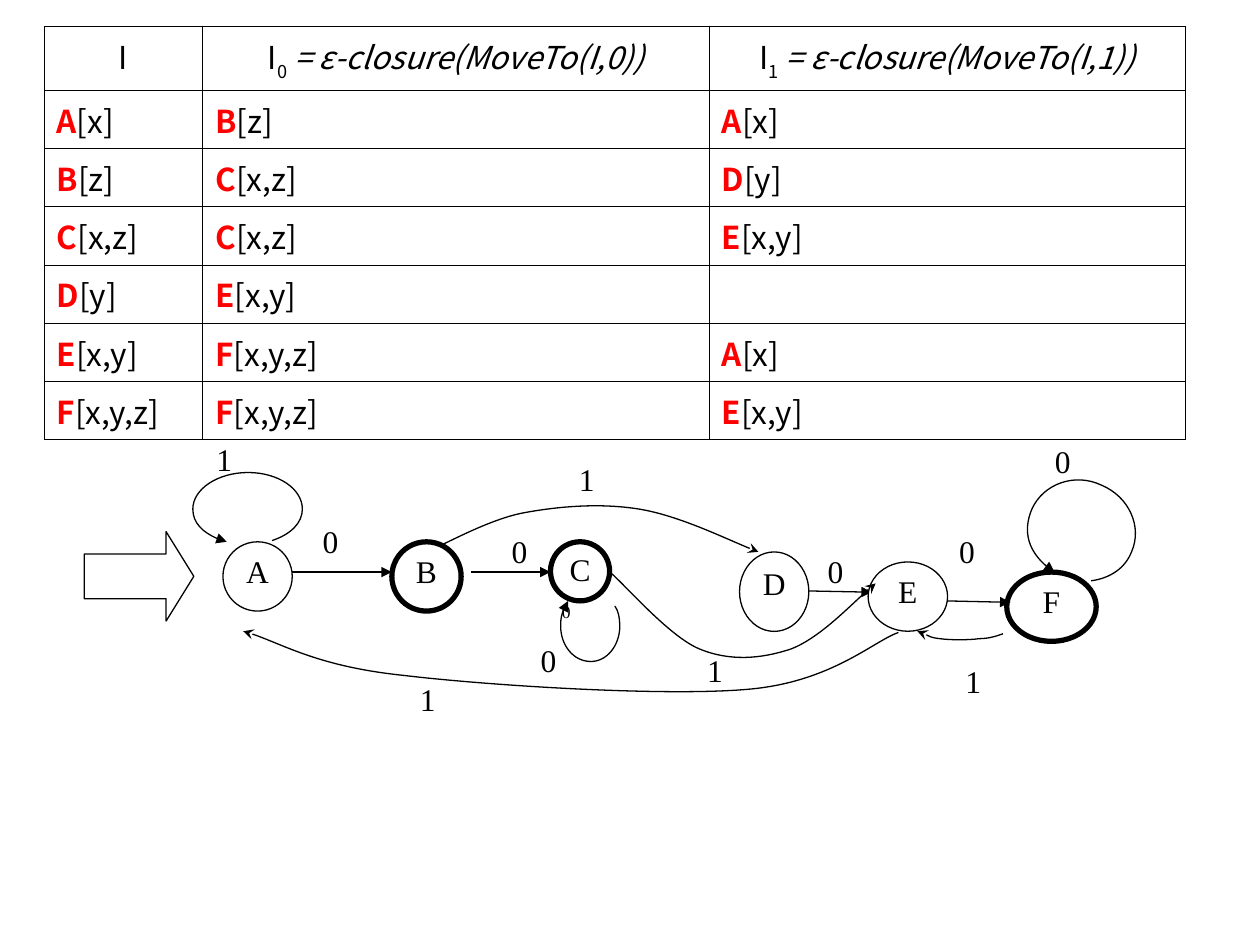
from typing import NamedTuple

from lxml.etree import SubElement
from pptx import Presentation
from pptx.dml.color import RGBColor
from pptx.enum.shapes import MSO_CONNECTOR as CONN, MSO_SHAPE as SHAPE
from pptx.enum.text import MSO_ANCHOR as ANCHOR, PP_ALIGN as ALIGN
from pptx.oxml import parse_xml
from pptx.oxml.ns import nsdecls, qn
from pptx.util import Pt

BLACK, WHITE, RED = "000000", "FFFFFF", "FF0000"
TABLE_FONT, GRAPH_FONT = "Noto Sans CJK SC", "Times New Roman"
THIN, THICK, BORDER = 0.75, 3, 0.45


class State(NamedTuple):
    name: str
    x: float
    y: float
    w: float
    h: float
    accepting: bool = False


class Line(NamedTuple):
    x1: float
    y1: float
    x2: float
    y2: float


class Curve(NamedTuple):
    """A start point, then three points for each Bézier segment."""
    points: list
    head: str = "stealth"


class Label(NamedTuple):
    text: str
    x: float
    y: float
    w: float = 18
    h: float = 15.8
    align: ALIGN = ALIGN.CENTER
    size: float = 18


# Transition table: cells hold a state letter and its set
SETS = {"A": "x", "B": "z", "C": "x,z", "D": "y", "E": "x,y", "F": "x,y,z"}
MOVES = ["ABA", "BCD", "CCE", "DE ", "EFA", "FFE"]
COL_WIDTHS = [90.7, 289.4, 272.2]
HEAD_HEIGHT, ROW_HEIGHT = 33.1, 28.8

# Automaton
STATES = [
    State("A", 127.4, 309.6, 39.6, 39.6),
    State("D", 422.6, 315.4, 39.6, 45.4),
    State("F", 575.3, 326.9, 51.1, 39.6, True),
    State("E", 496.1, 321.1, 45.4, 39.6),
    State("C", 314.6, 309.6, 33.8, 33.8, True),
    State("B", 223.9, 309.6, 39.6, 39.6, True),
]
LINE_DE = Line(462.2, 337.7, 498.2, 338.4)
LINES = [
    Line(167, 326.9, 223.9, 326.9),
    Line(269.3, 326.9, 314.6, 326.9),
    Line(541.4, 343.4, 577.4, 344.2),
]
LOOP_A = Curve([
    (155.5, 308.9), (166.3, 305.3), (172.8, 298.8), (172.8, 290.9),
    (172.8, 279.4), (159.1, 270), (141.8, 270),
    (124.6, 270), (110.2, 279.4), (110.2, 290.9),
    (110.2, 298.8), (118.1, 306.7), (129.6, 309.6)], "triangle")
LOOP_C = Curve([
    (351.4, 346.3), (353.5, 349.2), (354.2, 353.5), (354.2, 357.8),
    (354.2, 368.6), (347, 378), (337.7, 378),
    (327.6, 378), (320.4, 368.6), (320.4, 357.8),
    (320.4, 352.8), (321.8, 347.8), (324.7, 343.4)], "triangle")
LOOP_F = Curve([
    (623.5, 331.9), (634.3, 330.5), (643, 324.7), (646.6, 315.4),
    (653, 301), (645.1, 283.7), (629.3, 277.2),
    (614.2, 270), (596.2, 276.5), (589.7, 290.9),
    (583.9, 304.6), (589.7, 319), (602.6, 326.9)], "triangle")
B_TO_D = Curve([
    (247, 313.9), (255.6, 310.3), (280.1, 296.6), (299.5, 293),
    (319, 289.4), (342.7, 287.3), (365, 290.9),
    (387.4, 294.5), (419.8, 310.3), (433.4, 315.4)])
C_TO_E = Curve([
    (348.5, 326.9), (357.1, 334.1), (382.3, 363.6), (399.6, 370.8),
    (416.9, 378), (434.9, 376.6), (452.2, 370.8),
    (468.7, 364.3), (490.3, 341.3), (500.4, 333.4)])
E_TO_A = Curve([
    (513.4, 361.4), (499, 366.5), (475.2, 389.5), (428.4, 393.8),
    (380.9, 398.2), (278.6, 391.7), (230.4, 385.9),
    (182.2, 380.9), (157.7, 365.8), (139, 360.7)])
F_TO_E = Curve([
    (573.1, 362.2), (571, 362.9), (565.9, 365), (559.4, 365),
    (553.7, 365.8), (542.9, 365.8), (537.1, 365),
    (531.4, 364.3), (527, 361.4), (524.2, 360.7)])
SMALL_LABEL = Label("0", 314.6, 343.4, size=10)
LABELS = [
    Label("0", 184.3, 298.1, 8.6, align=ALIGN.LEFT),
    Label("0", 308.9, 366.5, align=ALIGN.LEFT),
    Label("0", 292.3, 303.8, align=ALIGN.LEFT),
    Label("1", 326.2, 262.8),
    Label("1", 105.1, 251.2, 46.1, 24.5),
    Label("1", 399.6, 372.2),
    Label("0", 473, 315.4, 8.6),
    Label("0", 541.4, 303.8, 22.3, 28.1),
    Label("1", 235.4, 388.8),
    Label("0", 598.3, 252.7),
    Label("1", 547.2, 378),
]


def rgb(color: str) -> RGBColor:
    return RGBColor.from_string(color)


def format_text(p, font: str, size: float, align: ALIGN) -> None:
    p.alignment = align
    p.font.name, p.font.size = font, Pt(size)
    p.font.color.rgb = rgb(BLACK)


def set_line(sp, width: float, head: str = "") -> None:
    sp.line.color.rgb = rgb(BLACK)
    sp.line.width = Pt(width)
    if head:
        ln = sp._element.spPr.find(qn("a:ln"))
        SubElement(ln, qn("a:tailEnd"), type=head)


def set_text(sp, text: str, size: float, align: ALIGN) -> None:
    tf = sp.text_frame
    tf.margin_left = tf.margin_right = tf.margin_top = tf.margin_bottom = 0
    tf.word_wrap = True
    tf.vertical_anchor = ANCHOR.TOP
    p = tf.paragraphs[0]
    p.text = text
    format_text(p, GRAPH_FONT, size, align)


def add_block(slide, kind: SHAPE, box: tuple, width: float):
    sp = slide.shapes.add_shape(kind, *map(Pt, box))
    sp.shadow.inherit = False
    sp.fill.solid()
    sp.fill.fore_color.rgb = rgb(WHITE)
    set_line(sp, width)
    return sp


def add_state(slide, s: State) -> None:
    sp = add_block(slide, SHAPE.OVAL, (s.x, s.y, s.w, s.h),
                   THICK if s.accepting else THIN)
    set_text(sp, s.name, 18, ALIGN.CENTER)


def add_label(slide, lb: Label) -> None:
    sp = slide.shapes.add_textbox(*map(Pt, (lb.x, lb.y, lb.w, lb.h)))
    set_text(sp, lb.text, lb.size, lb.align)


def add_line(slide, line: Line) -> None:
    sp = slide.shapes.add_connector(CONN.STRAIGHT, *map(Pt, line))
    set_line(sp, THIN, "triangle")
    SubElement(sp._element.spPr, qn("a:effectLst"))


def add_curve(slide, curve: Curve) -> None:
    start, *rest = [(Pt(x), Pt(y)) for x, y in curve.points]
    builder = slide.shapes.build_freeform(*start)
    builder.add_line_segments(rest, close=False)
    sp = builder.convert_to_shape()
    # Merge each three straight segments into one Bézier segment
    segments = sp._element.findall(".//" + qn("a:lnTo"))
    for i in range(0, len(segments), 3):
        bezier = parse_xml(f"<a:cubicBezTo {nsdecls('a')}/>")
        segments[i].addprevious(bezier)
        for seg in segments[i:i + 3]:
            bezier.append(seg[0])
            seg.getparent().remove(seg)
    sp.shadow.inherit = False
    sp.fill.background()
    set_line(sp, THIN, curve.head)


def set_borders(cell) -> None:
    tc_pr = cell._tc.get_or_add_tcPr()
    for i, side in enumerate("LRTB"):
        tc_pr.insert(i, parse_xml(
            f'<a:ln{side} {nsdecls("a")} w="{int(Pt(BORDER))}"><a:solidFill>'
            f'<a:srgbClr val="{BLACK}"/></a:solidFill></a:ln{side}>'))


def fill_header(p, col: int) -> None:
    p.add_run().text = "I"
    if col:
        r = p.add_run()
        r.text = str(col - 1)
        r.font._element.set("baseline", "-30000")
        r = p.add_run()
        r.text = f" = ε-closure(MoveTo(I,{col - 1}))"
        r.font.italic = True


def fill_set(p, state: str) -> None:
    if state in SETS:
        r = p.add_run()
        r.text = state
        r.font.bold, r.font.color.rgb = True, rgb(RED)
        p.add_run().text = f"[{SETS[state]}]"


def add_transitions(slide) -> None:
    heights = [HEAD_HEIGHT] + [ROW_HEIGHT] * len(MOVES)
    table = slide.shapes.add_table(
        len(heights), len(COL_WIDTHS), Pt(25.2), Pt(15.1),
        Pt(sum(COL_WIDTHS)), Pt(sum(heights))).table
    table.first_row = table.horz_banding = False
    for col, width in zip(table.columns, COL_WIDTHS):
        col.width = Pt(width)
    for i, height in enumerate(heights):
        table.rows[i].height = Pt(height)
        for j in range(len(COL_WIDTHS)):
            cell = table.cell(i, j)
            cell.fill.background()
            set_borders(cell)
            p = cell.text_frame.paragraphs[0]
            format_text(p, TABLE_FONT, 18, ALIGN.LEFT if i else ALIGN.CENTER)
            if i:
                fill_set(p, MOVES[i - 1][j])
            else:
                fill_header(p, j)


def main() -> None:
    prs = Presentation()
    prs.slide_width, prs.slide_height = Pt(720), Pt(540)
    slide = prs.slides.add_slide(prs.slide_layouts[6])
    add_transitions(slide)

    # Start arrow
    start = add_block(slide, SHAPE.RIGHT_ARROW, (48.2, 303.8, 62.6, 51.1), THIN)
    start.adjustments[1] = 0.31

    # Edges behind the states
    add_line(slide, LINE_DE)
    for curve in (B_TO_D, LOOP_A, LOOP_C):
        add_curve(slide, curve)
    add_label(slide, SMALL_LABEL)

    # States, then the edges and labels in front
    for state in STATES:
        add_state(slide, state)
    for line in LINES:
        add_line(slide, line)
    for curve in (C_TO_E, E_TO_A, LOOP_F, F_TO_E):
        add_curve(slide, curve)
    for label in LABELS:
        add_label(slide, label)
    prs.save("out.pptx")


if __name__ == "__main__":
    main()
